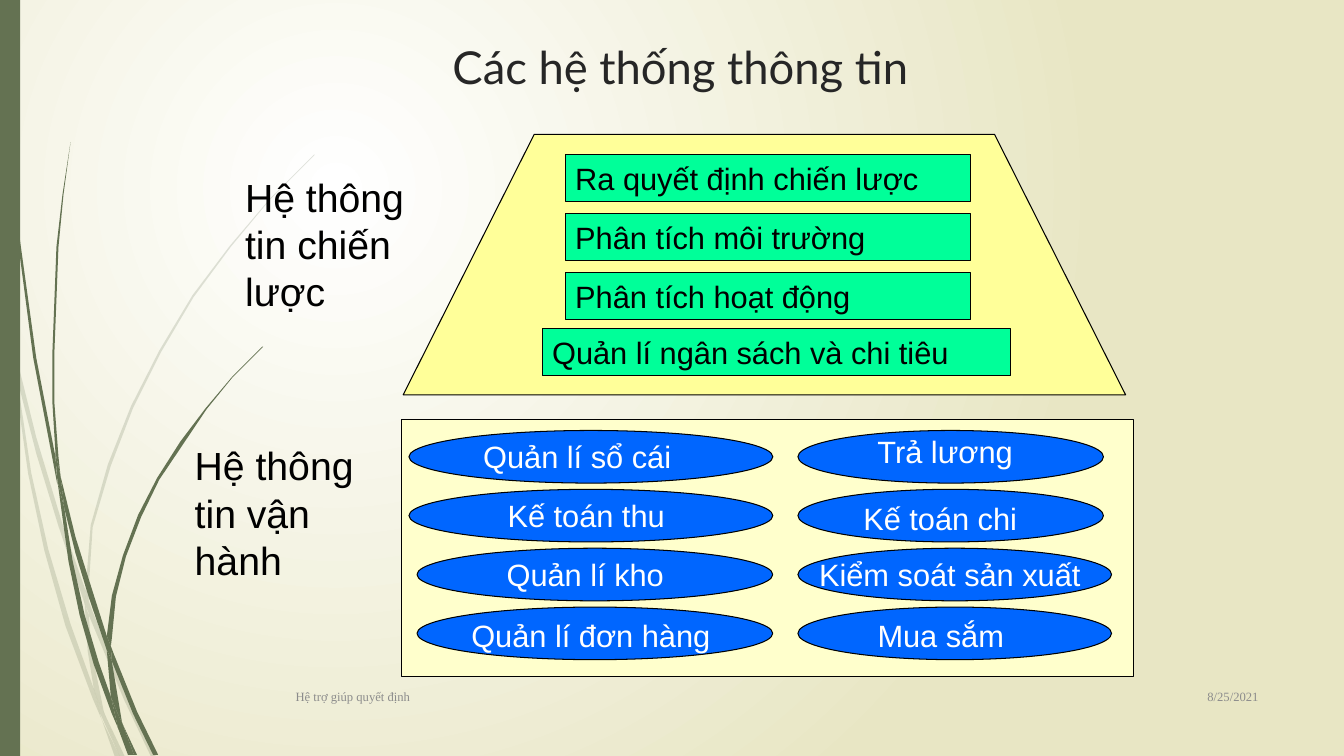
import pptx
import pptx.dml.color
import pptx.enum.shapes
import pptx.enum.text
import pptx.oxml.ns
import pptx.util
from lxml import etree

Pt = pptx.util.Pt
RGB = pptx.dml.color.RGBColor.from_string
KIND = pptx.enum.shapes.MSO_SHAPE
ALIGN = pptx.enum.text.PP_ALIGN
ANCHOR = pptx.enum.text.MSO_ANCHOR
QN = pptx.oxml.ns.qn


class Theme:
    leaf, black, white, cream = "647252", "000000", "FFFFFF", "E8E6C4"
    roof, bar, base, oval = "FFFF99", "00FF99", "FFFFCC", "0066FF"
    title = {"name": "Lato", "size": Pt(32.4), "color": "262626"}
    label = {"name": "Arial", "size": Pt(28), "color": black}
    task = {"name": "Arial", "size": Pt(22), "color": black}
    light = {**task, "color": white}
    foot = {"name": "Times New Roman", "size": Pt(9), "color": "8C8C8C"}


# Blade outlines: x, y, x, y ... on a grid of GRID points
GRID = 0.72
PALE = [
    [11, 350, 9, 322, 0, 282, 0, 299, 10, 344],
    [58, 522, 84, 599, 85, 586, 62, 520, 36, 434, 14, 345, 17, 376, 36, 450],
    [92, 607, 88, 596, 88, 610, 123, 694, 150, 751, 155, 751, 127, 692],
    [119, 751, 124, 751, 105, 711],
    [93, 683, 70, 619, 48, 545, 31, 469, 17, 376, 11, 350, 28, 470, 44, 546,
     65, 621, 92, 693, 101, 714, 99, 707],
    [84, 599, 87, 646, 93, 683, 96, 692, 105, 711, 103, 706, 91, 646, 88, 610],
    [88, 584, 92, 523, 110, 462, 132, 405, 160, 349, 192, 295, 229, 245, 268, 198,
     312, 154, 312, 153, 268, 197, 228, 244, 191, 293, 158, 348, 130, 403, 107, 461,
     90, 521, 85, 584, 85, 586, 88, 596],
    [101, 714, 114, 751, 119, 751],
    [88, 608, 88, 596, 85, 586, 84, 599],
    [96, 692, 93, 683, 99, 707, 119, 751, 105, 711],
]
DARK = [
    [7, 110, 17, 233, 33, 355, 57, 481, 55, 453, 36, 355, 19, 232, 8, 109, 5, 48,
     4, 0, 3, 0, 4, 48],
    [88, 592, 106, 645, 106, 631, 93, 590, 75, 533, 60, 472, 64, 505, 75, 549],
    [113, 649, 110, 641, 111, 656, 132, 708, 152, 749, 157, 749, 136, 706],
    [110, 691, 98, 657, 84, 610, 72, 556, 64, 505, 57, 477, 68, 557, 79, 610,
     93, 659, 111, 708, 117, 722, 116, 717],
    [60, 472, 58, 453, 54, 400, 54, 349, 58, 245, 63, 193, 70, 141, 62, 193,
     56, 245, 52, 349, 52, 400, 55, 449],
    [133, 749, 136, 749, 122, 719],
    [57, 477, 64, 505, 60, 472, 55, 449, 55, 453],
    [111, 633, 115, 592, 125, 552, 140, 513, 158, 476, 205, 406, 231, 374, 261, 344,
     260, 344, 231, 373, 204, 405, 179, 438, 156, 474, 137, 511, 122, 551, 111, 591,
     106, 631, 110, 641],
    [117, 722, 127, 749, 131, 749],
    [106, 645, 110, 691, 116, 706, 122, 719, 121, 716, 111, 656, 109, 651],
    [106, 645, 109, 651, 111, 656, 110, 641, 106, 631],
    [116, 706, 110, 691, 116, 717, 117, 722, 130, 749, 133, 749, 122, 719],
]
# Each oval: wording, text shift right and down
OVALS = [
    [("Quản lí sổ cái", 46, 1.5), ("Kế toán thu", 63.4, 2),
     ("Quản lí kho", 56.9, 1.7), ("Quản lí đơn hàng", 31.7, 3.3)],
    [("Trả lương", 49.7, -2.1), ("Kế toán chi", 39.6, 3.9),
     ("Kiểm soát sản xuất", 8, 1.7), ("Mua sắm", 49.7, 3.3)],
]
BARS = ["Ra quyết định chiến lược", "Phân tích môi trường",
        "Phân tích hoạt động", "Quản lí ngân sách và chi tiêu"]


def put(item, form):
    for key, value in form.items():
        setattr(item, key, value)


def paint(shape, fill, edge=None):
    shape.shadow.inherit = False
    shape.fill.solid()
    shape.fill.fore_color.rgb = RGB(fill)
    if edge:
        shape.line.color.rgb = RGB(edge)
        shape.line.width = Pt(0.75)
    else:
        shape.line.fill.background()
    return shape


def write(shape, words, font, align=ALIGN.LEFT, anchor=ANCHOR.TOP):
    frame = shape.text_frame
    put(frame, {"word_wrap": True, "vertical_anchor": anchor, "text": words})
    line = frame.paragraphs[0]
    line.alignment = align
    put(line.runs[0].font, {k: v for k, v in font.items() if k != "color"})
    line.runs[0].font.color.rgb = RGB(font["color"])


def note(slide, box, words, font, **place):
    write(slide.shapes.add_textbox(*map(Pt, box)), words, font, **place)


def draw(slide, kind, box, fill, edge=Theme.black):
    return paint(slide.shapes.add_shape(kind, *map(Pt, box)), fill, edge)


def trace(slide, dots, fill, edge=None):
    """Fill the closed outline through the given points."""
    dots = [(Pt(x), Pt(y)) for x, y in dots]
    pen = slide.shapes.build_freeform(*dots[0])
    pen.add_line_segments(dots[1:], close=True)
    return paint(pen.convert_to_shape(), fill, edge)


def grass(slide, blades, alpha=None):
    for blade in blades:
        spots = [GRID * n for n in blade]
        shape = trace(slide, zip(spots[::2], spots[1::2]), Theme.leaf)
        if alpha:
            tint = shape.fill._xPr.find(".//" + QN("a:srgbClr"))
            etree.SubElement(tint, QN("a:alpha"), val=str(alpha * 1000))


def ground(slide):
    """Set the radial background glow."""
    fill = slide.background.fill
    fill.gradient()
    for stop, tone in zip(fill.gradient_stops, (Theme.white, Theme.cream)):
        stop.color.rgb = RGB(tone)
    line = slide.element.find(".//" + QN("p:bgPr")).find(".//" + QN("a:lin"))
    glow = etree.Element(QN("a:path"), {"path": "circle"})
    etree.SubElement(glow, QN("a:fillToRect"),
                     l="50000", t="50000", r="100000", b="100000")
    line.getparent().replace(line, glow)


def roof(slide, x, y, w, h):
    inset = 93.6
    trace(slide, [(x, y + h), (x + inset, y), (x + w - inset, y), (x + w, y + h)],
          Theme.roof, Theme.black)
    for row, words in enumerate(BARS):
        last = row == len(BARS) - 1
        left, wide = (99.3, 334.4) if last else (115.8, 289.4)
        top = 138.7 if last else 14.2 + 42.2 * row
        bar = draw(slide, KIND.RECTANGLE, (x + left, y + top, wide, 33.8), Theme.bar)
        write(bar, words, Theme.task, anchor=ANCHOR.MIDDLE)


def base(slide, x, y, w, h):
    draw(slide, KIND.RECTANGLE, (x, y, w, h), Theme.base)
    for col, names in enumerate(OVALS):
        for row, (words, right, down) in enumerate(names):
            low = 5.8 if row > 1 else 0
            left = x + (283.4 if col else 5.5 + low)
            wide = 218.2 + low if col else 259.9 - low
            top = y + 7.5 + 42.05 * row
            draw(slide, KIND.OVAL, (left, top, wide, 37.6), Theme.oval)
            note(slide, (left + right, top + down, wide - right, 33.8),
                 words, Theme.light)


def head(slide, x, y, w, h):
    title = slide.shapes.title
    put(title, dict(zip(("left", "top", "width", "height"), map(Pt, (x, y, w, h)))))
    write(title, "Các hệ thống thông tin", Theme.title, ALIGN.CENTER)


def foot(slide, x, y, w, h):
    form = {"anchor": ANCHOR.MIDDLE}
    note(slide, (x, y, 600, h), "Hệ trợ giúp quyết định", Theme.foot, **form)
    note(slide, (x + w - 90, y, 90, h), "8/25/2021", Theme.foot,
         align=ALIGN.RIGHT, **form)


def main():
    deck = pptx.Presentation()
    put(deck, {"slide_width": Pt(960), "slide_height": Pt(540)})
    slide = deck.slides.add_slide(deck.slide_layouts[5])
    ground(slide)
    grass(slide, PALE, alpha=20)
    grass(slide, DARK)
    draw(slide, KIND.RECTANGLE, (0, 0, 14.4, 540), Theme.leaf, None)
    roof(slide, 288, 96, 516, 186)
    base(slide, 286.6, 300, 523.4, 183)
    note(slide, (168, 120, 150, 108), "Hệ thông tin chiến lược", Theme.label)
    note(slide, (132, 312, 155, 108), "Hệ thông tin vận hành", Theme.label)
    head(slide, 144, 24, 684, 45.4)
    foot(slide, 204, 483, 702, 29)
    deck.save("out.pptx")


if __name__ == "__main__":
    main()
